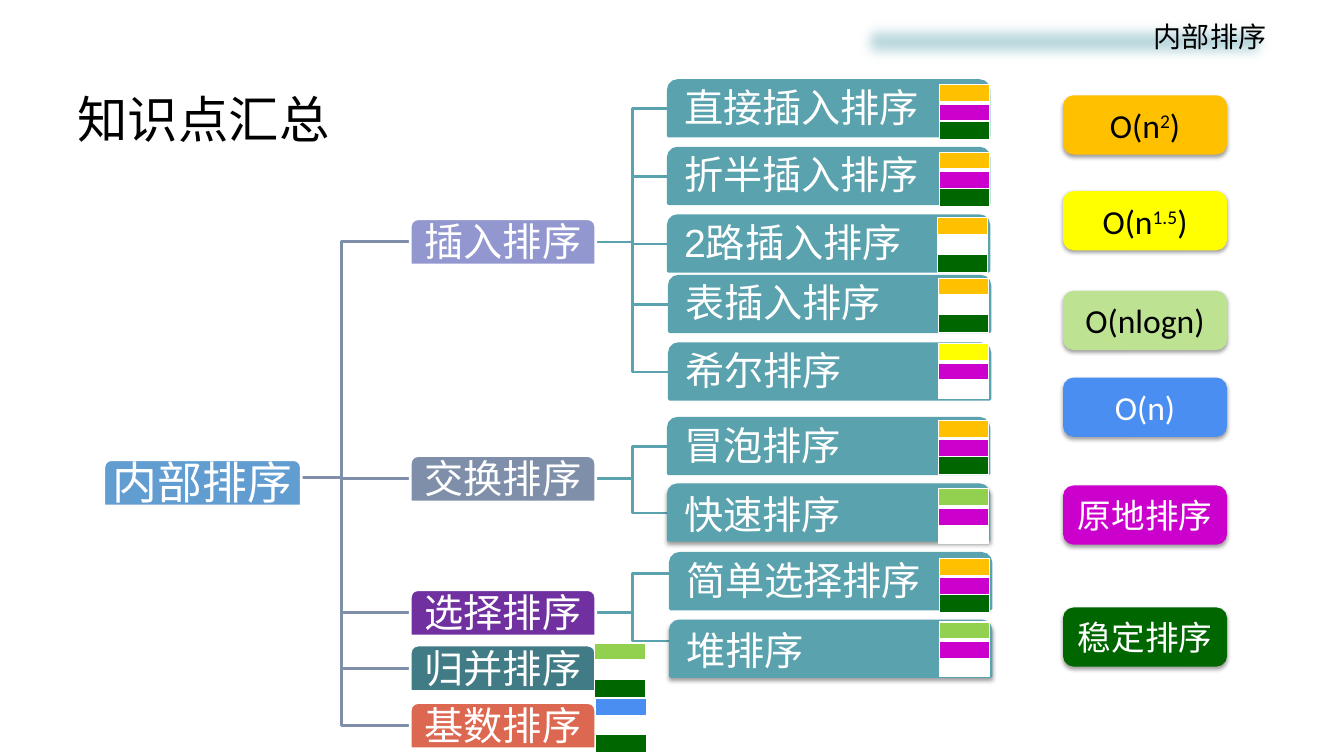
from dataclasses import dataclass

from lxml import etree
from pptx import Presentation
from pptx.dml.color import RGBColor
from pptx.enum.shapes import MSO_SHAPE
from pptx.enum.text import MSO_ANCHOR, PP_ALIGN
from pptx.oxml.ns import qn
from pptx.util import Inches, Pt

RECTANGLE = MSO_SHAPE.RECTANGLE
ROUNDED = MSO_SHAPE.ROUNDED_RECTANGLE
TAB_SHAPE = MSO_SHAPE.ROUND_2_SAME_RECTANGLE
TOP, MIDDLE = MSO_ANCHOR.TOP, MSO_ANCHOR.MIDDLE
LEFT, CENTER, RIGHT = PP_ALIGN.LEFT, PP_ALIGN.CENTER, PP_ALIGN.RIGHT


@dataclass(frozen=True)
class Theme:
    black: str = "000000"
    white: str = "FFFFFF"
    header: str = "BDDADF"
    root: str = "629DD1"
    insertion: str = "9297CF"
    exchange: str = "7F8FA9"
    selection: str = "7030A0"
    merging: str = "417B85"
    radix: str = "DD6851"
    leaf: str = "5AA2AE"
    square: str = "FFC000"
    power: str = "FFFF00"
    log: str = "92D050"
    log_legend: str = "BCE292"
    linear: str = "4A8EF2"
    in_place: str = "CC00CC"
    stable: str = "006600"
    latin: str = "Arial"
    formula: str = "Calibri"
    chinese: str = "Noto Sans CJK SC"
    title_size: int = 36
    root_size: int = 32
    node_size: int = 28
    legend_size: int = 24
    header_size: int = 20
    line_width: int = 2


THEME = Theme()
CELL = Inches(0.1)
SLIDE_COLUMNS, SLIDE_ROWS = 133.33, 75
BRANCH_LEFT, BRANCH_WIDTH, BRANCH_HEIGHT = 40.7, 18.4, 4.6
LEAF_WIDTH, LEAF_HEIGHT = 31.8, 5.5
LEGEND_LEFT, LEGEND_WIDTH, LEGEND_HEIGHT = 105.6, 16, 5.6
TAG_WIDTH, TAG_ROW = 5, 1.8
ROOT_TRUNK, LEAF_TRUNK = 33.9, 62.75
ROOT_STEM = (26, 47.4)

SQUARE_BOTH = (THEME.square, THEME.in_place, THEME.stable)
SQUARE_STABLE = (THEME.square, THEME.white, THEME.stable)
POWER_IN_PLACE = (THEME.power, THEME.in_place, THEME.white)
LOG_IN_PLACE = (THEME.log, THEME.in_place, THEME.white)
LOG_STABLE = (THEME.log, THEME.white, THEME.stable)
LINEAR_STABLE = (THEME.linear, THEME.white, THEME.stable)

# Branch: name, top, colour, twig offset, leaves, own tag.
# Leaf: name, left, top, shadow, tag left, tag top, tag colours.
BRANCHES = [
    ("插入排序", 21.7, THEME.insertion, 2.8, [
        ("直接插入排序", 66.3, 8.0, False, 93.2, 8.4, SQUARE_BOTH),
        ("折半插入排序", 66.3, 14.7, False, 93.2, 15.1, SQUARE_BOTH),
        ("2路插入排序", 66.3, 21.4, False, 93.0, 21.6, SQUARE_STABLE),
        ("表插入排序", 66.4, 27.4, False, 93.1, 27.6, SQUARE_STABLE),
        ("希尔排序", 66.4, 34.1, False, 93.1, 34.1, POWER_IN_PLACE)], None),
    ("交换排序", 45.2, THEME.exchange, 2.8, [
        ("冒泡排序", 66.3, 41.5, False, 93.1, 41.7, SQUARE_BOTH),
        ("快速排序", 66.3, 48.1, True, 93.1, 48.5, LOG_IN_PLACE)], None),
    ("选择排序", 58.5, THEME.selection, 2, [
        ("简单选择排序", 66.5, 54.9, False, 93.2, 55.4, SQUARE_BOTH),
        ("堆排序", 66.5, 61.6, True, 93.2, 61.7, LOG_IN_PLACE)], None),
    ("归并排序", 64.0, THEME.merging, 0, [], (59.0, 63.8, LOG_STABLE)),
    ("基数排序", 69.7, THEME.radix, 0, [], (59.1, 69.3, LINEAR_STABLE)),
]
LEGEND = [
    (9.6, THEME.square, THEME.black, THEME.formula, ("O(n", "2", ")")),
    (19.1, THEME.power, THEME.black, THEME.formula, ("O(n", "1.5", ")")),
    (29.0, THEME.log_legend, THEME.black, THEME.formula, ("O(nlogn)",)),
    (37.6, THEME.linear, THEME.white, THEME.formula, ("O(n)",)),
    (48.3, THEME.in_place, THEME.white, THEME.latin, ("原地排序",)),
    (60.4, THEME.stable, THEME.white, THEME.latin, ("稳定排序",)),
]


def grid(*cells):
    return [round(cell * CELL) for cell in cells]


def color(code):
    return RGBColor.from_string(code)


def add_effect(shape, name, **attributes):
    effects = shape._element.spPr.find(qn("a:effectLst"))
    return etree.SubElement(effects, qn(name), **attributes)


def add_shadow(shape):
    shadow = add_effect(shape, "a:outerShdw", blurRad="40000", dist="20000",
                        dir="5400000", rotWithShape="0")
    black = etree.SubElement(shadow, qn("a:srgbClr"), val=THEME.black)
    etree.SubElement(black, qn("a:alpha"), val="38000")


def write(shape, parts, size, ink, font=THEME.latin, align=CENTER,
          anchor=MIDDLE, margins=(0.4, 0.4, 0.4, 0.2), spacing=None):
    frame = shape.text_frame
    frame.word_wrap = True
    frame.vertical_anchor = anchor
    (frame.margin_left, frame.margin_top,
     frame.margin_right, frame.margin_bottom) = grid(*margins)
    paragraph = frame.paragraphs[0]
    paragraph.alignment = align
    if spacing:
        paragraph.line_spacing = spacing
    for index, text in enumerate(parts):
        run = paragraph.add_run()
        run.text = text
        run.font.size = Pt(size)
        run.font.name = font
        run.font.color.rgb = color(ink)
        properties = run._r.get_or_add_rPr()
        etree.SubElement(properties, qn("a:ea"), typeface=THEME.chinese)
        if index == 1:
            properties.set("baseline", "30000")


def add_box(slide, kind, place, fill, outline=None):
    shape = slide.shapes.add_shape(kind, *grid(*place))
    shape.shadow.inherit = False
    shape.fill.solid()
    shape.fill.fore_color.rgb = color(fill)
    if outline:
        shape.line.color.rgb = color(outline)
        shape.line.width = Pt(THEME.line_width)
    else:
        shape.line.fill.background()
    return shape


def add_elbow(slide, start, trunk, end, ink):
    points = [start, (trunk, start[1]), (trunk, end[1]), end]
    first, *rest = [grid(*point) for point in points]
    builder = slide.shapes.build_freeform(*first)
    builder.add_line_segments(rest, close=False)
    elbow = builder.convert_to_shape()
    elbow.shadow.inherit = False
    elbow.fill.background()
    elbow.line.color.rgb = color(ink)
    elbow.line.width = Pt(THEME.line_width)


def add_border(cell, side, points):
    line = etree.SubElement(cell._tc.get_or_add_tcPr(), qn(f"a:ln{side}"),
                            w=str(Pt(points)))
    fill = etree.SubElement(line, qn("a:solidFill"))
    etree.SubElement(fill, qn("a:srgbClr"), val=THEME.white)


def add_tag(slide, left, top, colors):
    height = TAG_ROW * len(colors)
    frame = slide.shapes.add_table(len(colors), 1, *grid(left, top, TAG_WIDTH, height))
    table = frame.table
    table.first_row = table.horz_banding = False
    for index, fill in enumerate(colors):
        cell = table.cell(index, 0)
        cell.margin_left = cell.margin_right = cell.margin_top = cell.margin_bottom = 0
        for side in "LRTB":
            thick = (side, index) in (("B", 0), ("T", 1))
            add_border(cell, side, 3 if thick else 1)
        cell.fill.solid()
        cell.fill.fore_color.rgb = color(fill)
        paragraph = cell.text_frame.paragraphs[0]
        etree.SubElement(paragraph._p, qn("a:endParaRPr"), sz="500")


def add_heading(slide):
    title = slide.shapes.add_textbox(*grid(6.7, 8, 120, 7.5))
    write(title, ("知识点汇总",), THEME.title_size, THEME.black, THEME.chinese,
          LEFT, margins=(1, 0.5, 1, 0.5))
    header = add_box(slide, RECTANGLE, (84.6, 1.4, 42, 5.4), THEME.header)
    add_effect(header, "a:softEdge", rad=str(Pt(10)))
    write(header, ("内部排序",), THEME.header_size, THEME.black, align=RIGHT,
          anchor=TOP, margins=(1, 0.5, 1, 0.5))


def add_lines(slide):
    for _, top, _, twig, leaves, _ in BRANCHES:
        middle = top + BRANCH_HEIGHT / 2
        add_elbow(slide, ROOT_STEM, ROOT_TRUNK, (BRANCH_LEFT, middle), THEME.exchange)
        for _, left, leaf_top, *_ in leaves:
            add_elbow(slide, (BRANCH_LEFT + BRANCH_WIDTH, middle), LEAF_TRUNK,
                      (left, leaf_top + twig), THEME.leaf)


def add_leaf(slide, name, left, top, shadow):
    leaf = add_box(slide, TAB_SHAPE, (left, top, LEAF_WIDTH, LEAF_HEIGHT),
                   THEME.leaf, THEME.leaf)
    if shadow:
        add_shadow(leaf)
    write(leaf, (name,), THEME.node_size, THEME.white, align=LEFT,
          margins=(1.3, 0.2, 0.2, 0.2), spacing=None if shadow else 0.9)


def add_tree(slide):
    add_lines(slide)
    root = add_box(slide, TAB_SHAPE, (10.3, 45.6, 19.6, 4.6), THEME.root, THEME.white)
    write(root, ("内部排序",), THEME.root_size, THEME.white, spacing=0.9)
    for name, top, fill, _, leaves, tag in BRANCHES:
        branch = add_box(slide, TAB_SHAPE, (BRANCH_LEFT, top, BRANCH_WIDTH, BRANCH_HEIGHT),
                         fill, THEME.white)
        write(branch, (name,), THEME.node_size, THEME.white, spacing=0.9)
        for *leaf, tag_left, tag_top, colors in leaves:
            add_leaf(slide, *leaf)
            add_tag(slide, tag_left, tag_top, colors)
        if tag:
            add_tag(slide, *tag)


def add_legend(slide):
    for top, fill, ink, font, parts in LEGEND:
        key = add_box(slide, ROUNDED, (LEGEND_LEFT, top, LEGEND_WIDTH, LEGEND_HEIGHT),
                      fill, fill)
        add_shadow(key)
        write(key, parts, THEME.legend_size, ink, font, margins=(0.4,) * 4)


def main():
    presentation = Presentation()
    presentation.slide_width, presentation.slide_height = grid(SLIDE_COLUMNS, SLIDE_ROWS)
    slide = presentation.slides.add_slide(presentation.slide_layouts[6])
    add_heading(slide)
    add_tree(slide)
    add_legend(slide)
    presentation.save("out.pptx")


if __name__ == "__main__":
    main()
